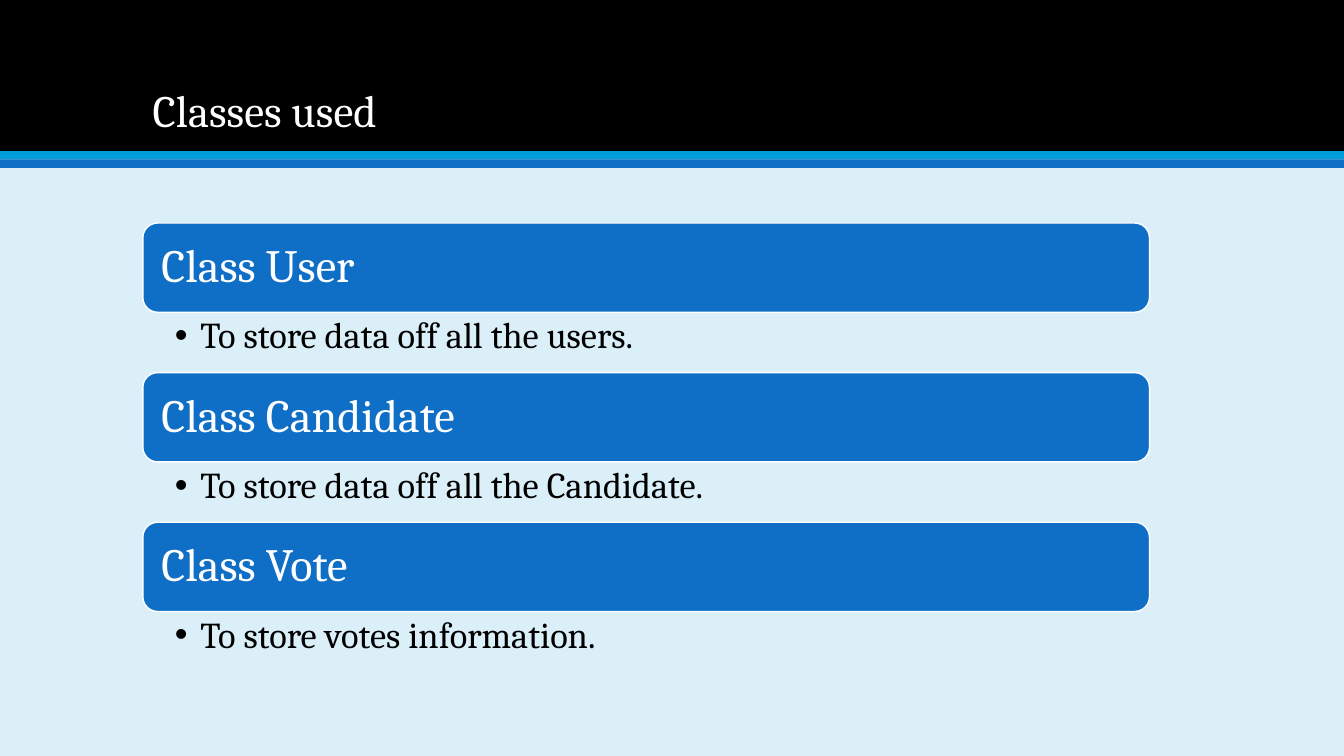
from lxml.etree import SubElement
from pptx import Presentation
from pptx.dml.color import RGBColor
from pptx.enum.shapes import MSO_SHAPE
from pptx.enum.text import MSO_ANCHOR, PP_ALIGN
from pptx.oxml.ns import qn
from pptx.util import Cm, Pt

BLACK = RGBColor(0x00, 0x00, 0x00)
WHITE = RGBColor(0xFF, 0xFF, 0xFF)
SKY = RGBColor(0x00, 0x9D, 0xD9)
BLUE = RGBColor(0x0F, 0x6F, 0xC6)
PALE = RGBColor(0xDB, 0xEF, 0xF9)
FONT = "Cambria"

PAGE_WIDTH, PAGE_HEIGHT = Cm(33.87), Cm(19.05)
CLASSES = [
    ("Class User", "To store data off all the users."),
    ("Class Candidate", "To store data off all the Candidate."),
    ("Class Vote", "To store votes information."),
]


def add_block(page, kind, box, fill):
    block = page.shapes.add_shape(kind, *box)
    block.shadow.inherit = False
    block.fill.solid()
    block.fill.fore_color.rgb = fill
    block.line.fill.background()
    return block


def write(shape, text, size, color, anchor, insets):
    frame = shape.text_frame
    frame.word_wrap = True
    frame.vertical_anchor = anchor
    frame.margin_left, frame.margin_top, frame.margin_right, frame.margin_bottom = insets
    frame.text = text
    para = frame.paragraphs[0]
    para.alignment = PP_ALIGN.LEFT
    para.line_spacing = 0.9
    span = para.runs[0]
    span.font.name = FONT
    span.font.size = Pt(size)
    span.font.color.rgb = color
    return para


def add_bullet(para):
    properties = para._p.get_or_add_pPr()
    properties.set("marL", str(Cm(0.64)))
    properties.set("indent", str(Cm(-0.64)))
    SubElement(properties, qn("a:buFont")).set("typeface", "Arial")
    SubElement(properties, qn("a:buChar")).set("char", "•")


def add_header(page, box, title):
    left, top, width, height = box
    stripe = Cm(0.21)
    band = height - 2 * stripe
    add_block(page, MSO_SHAPE.RECTANGLE, (left, top, width, band), BLACK)
    for index, color in enumerate((SKY, BLUE)):
        stripe_top = top + band + index * stripe
        add_block(page, MSO_SHAPE.RECTANGLE, (left, stripe_top, width, stripe), color)
    heading = page.shapes.add_textbox(left + Cm(3.6), top + Cm(0.71), Cm(26.67), Cm(2.87))
    insets = (Cm(0.25), Cm(0.13), Cm(0.25), Cm(0.13))
    write(heading, title, 32, WHITE, MSO_ANCHOR.BOTTOM, insets)


def add_class_list(page, box, classes):
    left, top, width, height = box
    pitch = height // len(classes)
    bar_height = Cm(2.25)
    for index, (name, purpose) in enumerate(classes):
        bar_top = top + index * pitch
        bar = add_block(page, MSO_SHAPE.ROUNDED_RECTANGLE, (left, bar_top, width, bar_height), BLUE)
        bar.line.color.rgb = WHITE
        bar.line.width = Pt(1)
        write(bar, name, 33, WHITE, MSO_ANCHOR.MIDDLE, [Cm(0.36)] * 4)
        note = page.shapes.add_textbox(left, bar_top + bar_height, width, pitch - bar_height)
        insets = (Cm(0.81), Cm(0.13), Cm(0.66), Cm(0.13))
        add_bullet(write(note, purpose, 26, BLACK, MSO_ANCHOR.TOP, insets))


def main():
    deck = Presentation()
    deck.slide_width, deck.slide_height = PAGE_WIDTH, PAGE_HEIGHT
    page = deck.slides.add_slide(deck.slide_layouts[6])
    page.background.fill.solid()
    page.background.fill.fore_color.rgb = PALE
    add_header(page, (0, 0, PAGE_WIDTH, Cm(4.23)), "Classes used")
    add_class_list(page, (Cm(3.6), Cm(5.62), Cm(25.37), Cm(11.31)), CLASSES)
    deck.save("out.pptx")


if __name__ == "__main__":
    main()
